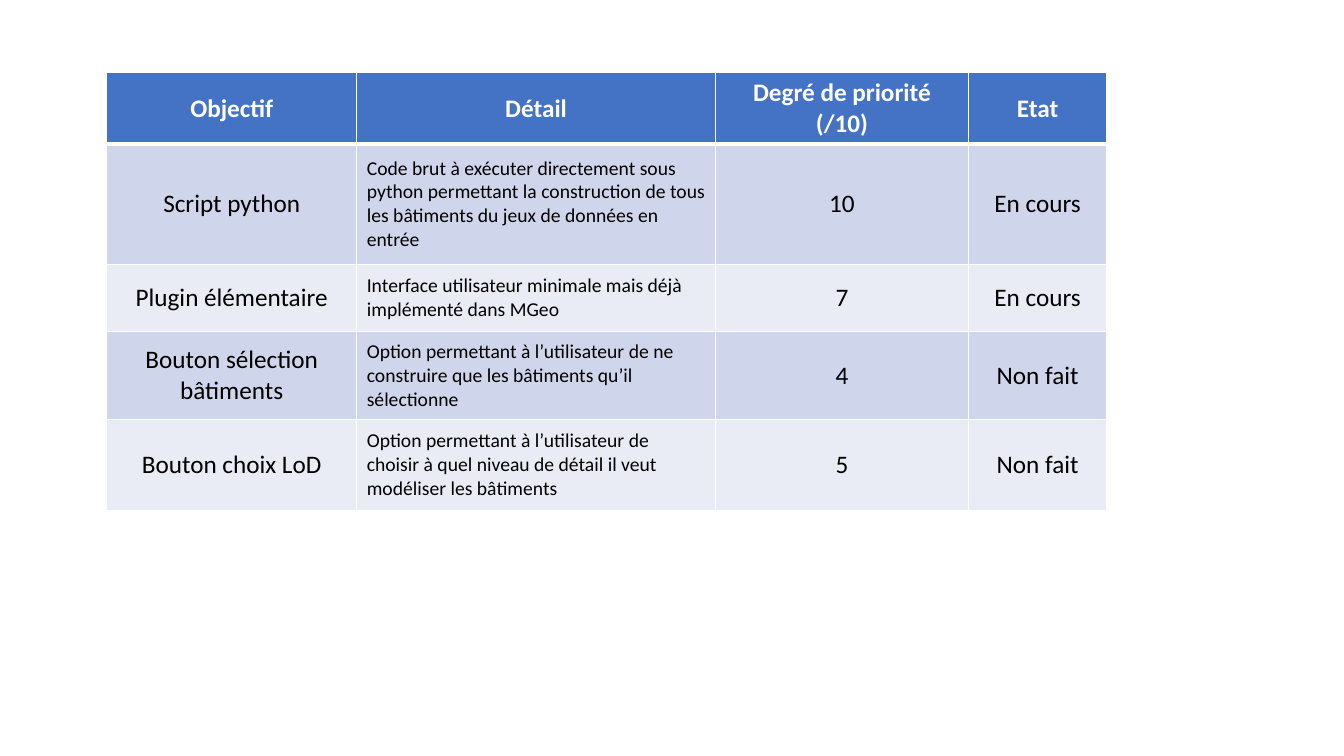
from dataclasses import dataclass

import lxml.etree
import pptx
import pptx.dml.color
import pptx.enum.text
import pptx.oxml.ns
import pptx.util

Cm = pptx.util.Cm
Pt = pptx.util.Pt
RGBColor = pptx.dml.color.RGBColor
Align = pptx.enum.text.PP_ALIGN
qn = pptx.oxml.ns.qn

WHITE = RGBColor(0xFF, 0xFF, 0xFF)
BLACK = RGBColor(0x00, 0x00, 0x00)
HEADER_BLUE = RGBColor(0x44, 0x72, 0xC4)
BAND_DARK = RGBColor(0xCF, 0xD5, 0xEA)
BAND_LIGHT = RGBColor(0xE9, 0xEB, 0xF5)

COLUMN_WIDTHS = [Cm(6.3), Cm(9.04), Cm(6.38), Cm(3.48)]
HEADINGS = ("Objectif", "Détail", "Degré de priorité (/10)", "Etat")
HEADER_HEIGHT = Cm(1.78)
DETAIL_COLUMN = 1
THIN, THICK = Pt(1), Pt(3)


@dataclass(frozen=True)
class Goal:
    name: str
    detail: str
    priority: int
    state: str
    height: pptx.util.Length

    def texts(self) -> tuple[str, ...]:
        return self.name, self.detail, str(self.priority), self.state


GOALS = [
    Goal("Script python",
         "Code brut à exécuter directement sous python permettant la construction "
         "de tous les bâtiments du jeux de données en entrée",
         10, "En cours", Cm(3.02)),
    Goal("Plugin élémentaire",
         "Interface utilisateur minimale mais déjà implémenté dans MGeo",
         7, "En cours", Cm(1.7)),
    Goal("Bouton sélection bâtiments",
         "Option permettant à l’utilisateur de ne construire que les bâtiments "
         "qu’il sélectionne",
         4, "Non fait", Cm(2.21)),
    Goal("Bouton choix LoD",
         "Option permettant à l’utilisateur de choisir à quel niveau de détail "
         "il veut modéliser les bâtiments",
         5, "Non fait", Cm(2.29)),
]


def add_borders(cell, top: int, bottom: int) -> None:
    properties = cell._tc.get_or_add_tcPr()
    widths = {"a:lnL": THIN, "a:lnR": THIN, "a:lnT": top, "a:lnB": bottom}
    for tag, width in widths.items():
        line = lxml.etree.SubElement(properties, qn(tag), w=str(int(width)))
        fill = lxml.etree.SubElement(line, qn("a:solidFill"))
        lxml.etree.SubElement(fill, qn("a:srgbClr"), val=str(WHITE))


def fill_cell(cell, text: str, row: int, column: int) -> None:
    is_header = row == 0
    is_detail = column == DETAIL_COLUMN and not is_header
    add_borders(cell, THICK if row == 1 else THIN, THICK if is_header else THIN)
    cell.fill.solid()
    band = BAND_DARK if row % 2 else BAND_LIGHT
    cell.fill.fore_color.rgb = HEADER_BLUE if is_header else band
    cell.vertical_anchor = pptx.enum.text.MSO_ANCHOR.MIDDLE
    para = cell.text_frame.paragraphs[0]
    para.alignment = Align.LEFT if is_detail else Align.CENTER
    span = para.add_run()
    span.text = text
    font_format = {
        "name": "Calibri",
        "size": Pt(14) if is_detail else Pt(18),
        "bold": is_header,
    }
    for attribute, value in font_format.items():
        setattr(span.font, attribute, value)
    span.font.color.rgb = WHITE if is_header else BLACK


def add_goal_table(page) -> None:
    heights = [HEADER_HEIGHT, *(goal.height for goal in GOALS)]
    table = page.shapes.add_table(
        len(heights), len(COLUMN_WIDTHS), Cm(2.69), Cm(1.83),
        sum(COLUMN_WIDTHS), sum(heights),
    ).table
    for column, width in zip(table.columns, COLUMN_WIDTHS):
        column.width = width
    for row, height in zip(table.rows, heights):
        row.height = height
    for row, texts in enumerate([HEADINGS, *(goal.texts() for goal in GOALS)]):
        for column, text in enumerate(texts):
            fill_cell(table.cell(row, column), text, row, column)


deck = pptx.Presentation()
deck.slide_width = Cm(33.87)
deck.slide_height = Cm(19.05)
add_goal_table(deck.slides.add_slide(deck.slide_layouts[6]))
deck.save("out.pptx")
